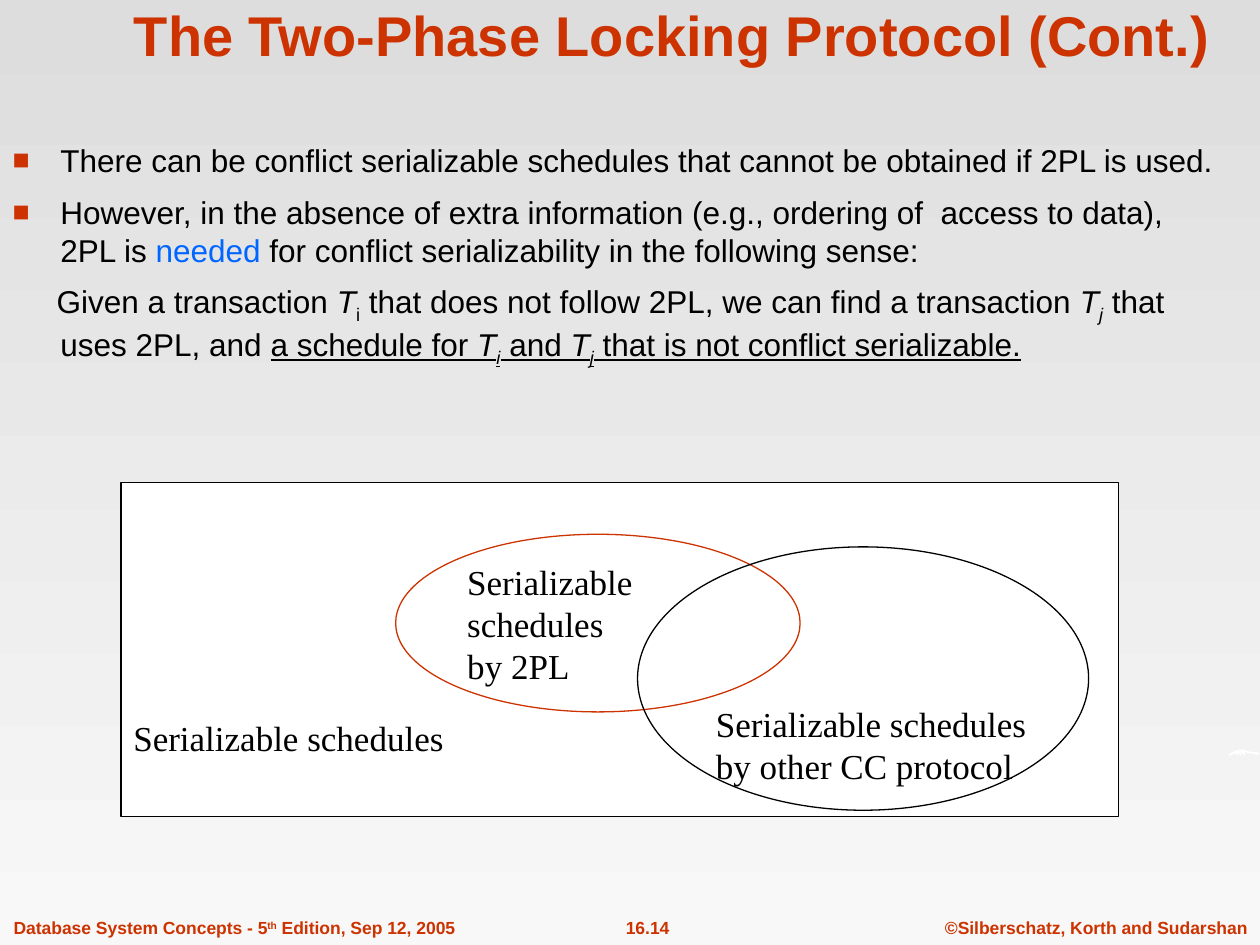
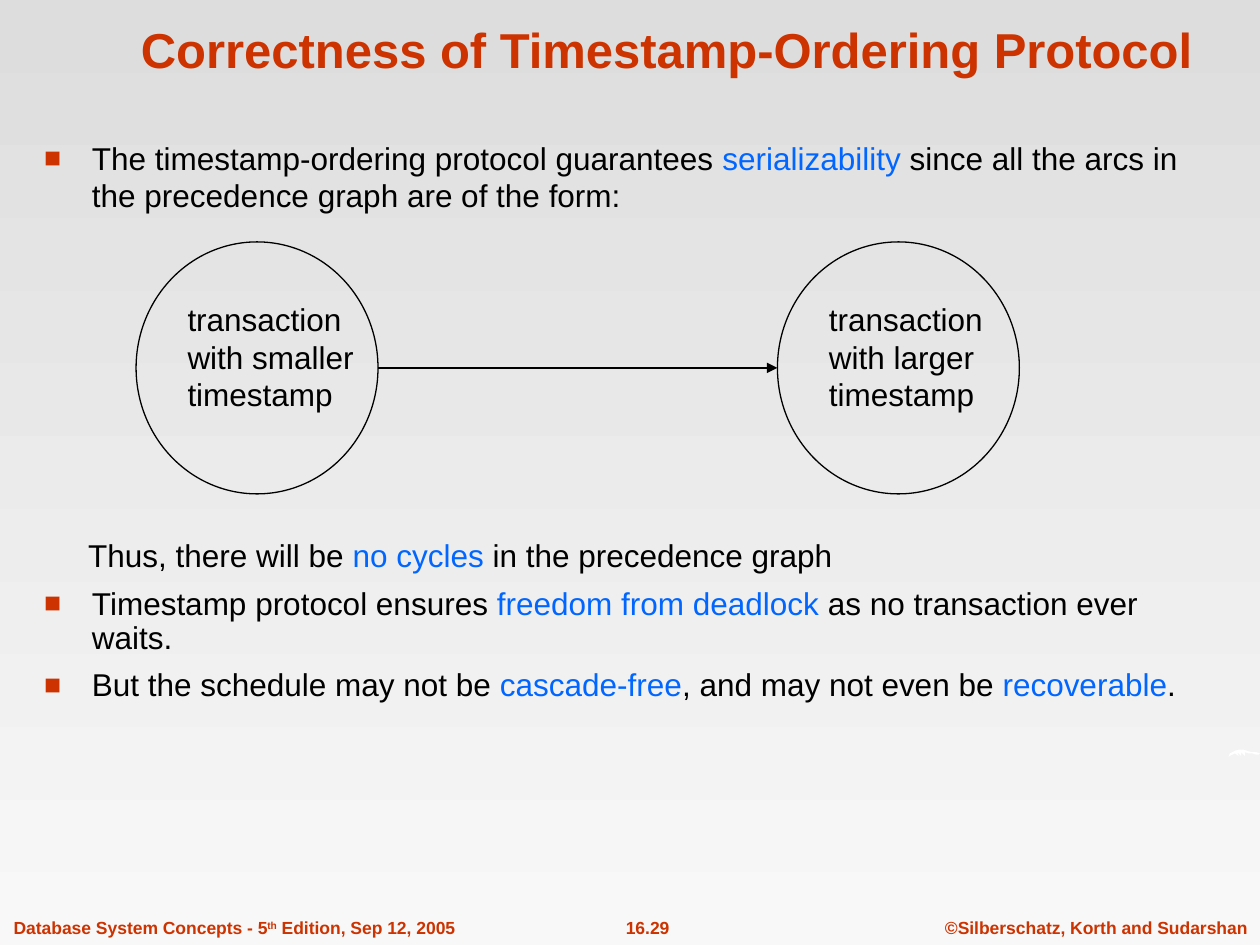
from lxml.etree import SubElement
from pptx import Presentation
from pptx.dml.color import RGBColor
from pptx.enum.shapes import MSO_CONNECTOR, MSO_SHAPE
from pptx.enum.text import MSO_ANCHOR, MSO_AUTO_SIZE, PP_ALIGN
from pptx.oxml.ns import qn
from pptx.util import Inches, Pt

COLORS = {"accent": "CC3300", "text": "000000", "key": "0066FF", "white": "FFFFFF",
          "bg_top": "DDDDDD", "bg_bottom": "F8F8F8"}
SANS, SERIF = "Arial", "Times New Roman"
FOOTER = {"size": 10, "bold": True, "color": "accent"}
BODY = {"size": 18, "color": "text"}
DIAGRAM = {"size": 20, "name": SERIF, "color": "text"}
KEY = {"color": "key"}
ITALIC = {"italic": True}
SUB = {"baseline": -25}
UNDER = {"underline": True}
BULLET_GAP = 7.9
SWOOSH = [(975, 601), (976, 598), (978, 597), (980, 596), (983, 595), (987, 595),
          (990, 596), (993, 597), (997, 597), (1000, 598), (999, 599), (997, 599),
          (994, 598), (991, 598), (988, 597), (988, 600), (985, 597), (985, 600),
          (982, 597), (983, 600), (980, 598), (978, 599), (976, 600)]


def rgb(name):
    return RGBColor.from_string(COLORS[name])


def box(left, top, width, height):
    return [Inches(v) for v in (left, top, width, height)]


def add_runs(p, runs, base):
    for run in runs:
        text, extra = (run, {}) if isinstance(run, str) else run
        r = p.add_run()
        r.text = text
        for key, value in {"name": SANS, **base, **extra}.items():
            if key == "color":
                r.font.color.rgb = rgb(value)
            elif key == "baseline":
                r._r.get_or_add_rPr().set("baseline", str(value * 1000))
            else:
                setattr(r.font, key, Pt(value) if key == "size" else value)


def fill_text(tf, paragraphs, base, align=PP_ALIGN.LEFT, **frame):
    tf.auto_size = MSO_AUTO_SIZE.NONE
    for key, value in frame.items():
        setattr(tf, key, value)
    for i, runs in enumerate(paragraphs):
        p = tf.add_paragraph() if i else tf.paragraphs[0]
        p.alignment = align
        add_runs(p, runs, base)


def add_label(s, bounds, paragraphs, base, align=PP_ALIGN.LEFT):
    tf = s.shapes.add_textbox(*box(*bounds)).text_frame
    fill_text(tf, paragraphs, base, align, word_wrap=False)


def add_outline(s, kind, bounds, line="text", fill=None):
    sp = s.shapes.add_shape(kind, *box(*bounds))
    sp.shadow.inherit = False
    if fill:
        sp.fill.solid()
        sp.fill.fore_color.rgb = rgb(fill)
    else:
        sp.fill.background()
    sp.line.color.rgb = rgb(line)
    sp.line.width = Pt(0.75)
    return sp


def add_arrow(s, x1, y1, x2, y2):
    line = s.shapes.add_connector(MSO_CONNECTOR.STRAIGHT,
                                  *[Inches(v) for v in (x1, y1, x2, y2)])
    line.line.color.rgb = rgb("text")
    line.line.width = Pt(0.75)
    SubElement(line.line._get_or_add_ln(), qn("a:tailEnd"), type="triangle")
    SubElement(line._element.spPr, qn("a:effectLst"))


def set_bullet(p, bullet):
    pPr = p._p.get_or_add_pPr()
    pPr.set("marL", str(Inches(0.38)))
    pPr.set("indent", str(Inches(-0.38 if bullet else -0.03)))
    if not bullet:
        SubElement(pPr, qn("a:buNone"))
        return
    color = SubElement(pPr, qn("a:buClr"))
    SubElement(color, qn("a:srgbClr"), val=COLORS["accent"])
    SubElement(pPr, qn("a:buSzPct"), val="90000")
    SubElement(pPr, qn("a:buFont"), typeface=SANS)
    SubElement(pPr, qn("a:buChar"), char="■")


def place(sp, bounds):
    sp.left, sp.top, sp.width, sp.height = box(*bounds)


def add_title(s, bounds, text, size):
    place(s.shapes.title, bounds)
    fill_text(s.shapes.title.text_frame, [[text]],
              {"size": size, "bold": True, "color": "accent"}, PP_ALIGN.CENTER,
              vertical_anchor=MSO_ANCHOR.BOTTOM)


def add_body(s, bounds, items):
    sp = s.placeholders[1]
    place(sp, bounds)
    fill_text(sp.text_frame, [item["runs"] for item in items], BODY)
    for i, (p, item) in enumerate(zip(sp.text_frame.paragraphs, items)):
        set_bullet(p, item.get("bullet", True))
        p.space_before = Pt(item.get("before", BULLET_GAP) if i else 0)
        p.line_spacing = item.get("spacing", 1.0)


def add_footer(s, number):
    top, height = 7.23, 0.27
    add_label(s, (7.4, top, 2.6, height), [["©Silberschatz, Korth and Sudarshan"]],
              FOOTER, PP_ALIGN.CENTER)
    add_label(s, (4.61, top, 1.06, height), [[number]], FOOTER, PP_ALIGN.CENTER)
    add_label(s, (0.01, top, 3.7, height),
              [["Database System Concepts - 5", ("th", {"baseline": 30}),
                " Edition, Sep 12, 2005"]], FOOTER)


def add_swoosh(s):
    fb = s.shapes.build_freeform(*SWOOSH[0], scale=Inches(0.01))
    fb.add_line_segments(SWOOSH[1:], close=True)
    sp = fb.convert_to_shape()
    sp.shadow.inherit = False
    sp.fill.solid()
    sp.fill.fore_color.rgb = rgb("white")
    sp.line.fill.background()


def new_slide(prs, number):
    s = prs.slides.add_slide(prs.slide_layouts[1])
    add_footer(s, number)
    add_swoosh(s)
    return s


def add_schedule_sets(s, left, top):
    everything = add_outline(s, MSO_SHAPE.RECTANGLE, (left, top, 7.92, 2.65), fill="white")
    fill_text(everything.text_frame, [["Serializable schedules"]], DIAGRAM, word_wrap=False,
              vertical_anchor=MSO_ANCHOR.BOTTOM, margin_bottom=Inches(0.46))
    two_phase = add_outline(s, MSO_SHAPE.OVAL, (left + 2.18, top + 0.41, 3.21, 1.41),
                            "accent", "white")
    fill_text(two_phase.text_frame, [["Serializable"], ["schedules"], ["by 2PL"]], DIAGRAM,
              word_wrap=False, vertical_anchor=MSO_ANCHOR.MIDDLE)
    other = add_outline(s, MSO_SHAPE.OVAL, (left + 4.1, top + 0.51, 3.58, 2.09))
    fill_text(other.text_frame, [["Serializable schedules"], ["by other CC protocol"]], DIAGRAM,
              word_wrap=False, vertical_anchor=MSO_ANCHOR.TOP,
              margin_top=Inches(0.93), margin_bottom=0)


def add_precedence_arc(s, left, top):
    width, height, step = 1.92, 2, 5.09
    for i, size in enumerate(("smaller", "larger")):
        x = left + i * step
        add_outline(s, MSO_SHAPE.OVAL, (x, top, width, height))
        add_label(s, (x + 0.31, top + 0.41, 1.5, 1),
                  [["transaction"], [f"with {size}"], ["timestamp"]], BODY)
    middle = top + height / 2
    add_arrow(s, left + width, middle, left + step, middle)


def two_phase_slide(prs):
    s = new_slide(prs, "16.14")
    add_title(s, (0.92, -0.08, 8.83, 0.67), "The Two-Phase Locking Protocol (Cont.)", 32)
    add_body(s, (0, 1.07, 9.81, 5.53), [
        {"runs": ["There can be conflict serializable schedules that cannot be obtained "
                  "if 2PL is used."]},
        {"runs": ["However, in the absence of extra information (e.g., ordering of  access "
                  "to data), 2PL is ", ("needed", KEY),
                  " for conflict serializability in the following sense:"]},
        {"bullet": False,
         "runs": ["Given a transaction ", ("T", ITALIC), ("i", SUB),
                  " that does not follow 2PL, we can find a transaction ",
                  ("T", ITALIC), ("j", {**ITALIC, **SUB}), " that uses 2PL, and ",
                  ("a schedule for ", UNDER), ("T", {**UNDER, **ITALIC}),
                  ("i", {**UNDER, **ITALIC, **SUB}), (" and ", UNDER),
                  ("T", {**UNDER, **ITALIC}), ("j", {**UNDER, **ITALIC, **SUB}),
                  (" that is not conflict serializable.", UNDER)]},
    ])
    add_schedule_sets(s, 0.96, 3.83)


def timestamp_slide(prs):
    s = new_slide(prs, "16.29")
    add_title(s, (0.58, 0, 9.42, 0.67), "Correctness of Timestamp-Ordering Protocol", 28)
    add_body(s, (0.25, 1.05, 9.54, 5.54), [
        {"runs": ["The timestamp-ordering protocol guarantees ", ("serializability ", KEY),
                  "since all the arcs in the precedence graph are of the form:"]},
        {"bullet": False, "before": 184,
         "runs": ["Thus, there will be ", ("no cycles", KEY), " in the precedence graph"]},
        {"spacing": 0.9,
         "runs": ["Timestamp protocol ensures ", ("freedom from deadlock", KEY),
                  " as no transaction ever waits."]},
        {"spacing": 0.9,
         "runs": ["But the schedule may not be ", ("cascade-free", KEY),
                  ", and may not even be ", ("recoverable", KEY), "."]},
    ])
    add_precedence_arc(s, 1.08, 1.92)


def set_background(prs):
    fill = prs.slide_master.background.fill
    fill.gradient()
    fill.gradient_angle = 270
    for stop, name in zip(fill.gradient_stops, ("bg_top", "bg_bottom")):
        stop.color.rgb = rgb(name)


def main():
    prs = Presentation()
    prs.slide_width, prs.slide_height = Inches(10), Inches(7.5)
    set_background(prs)
    two_phase_slide(prs)
    timestamp_slide(prs)
    prs.save("out.pptx")


if __name__ == "__main__":
    main()
